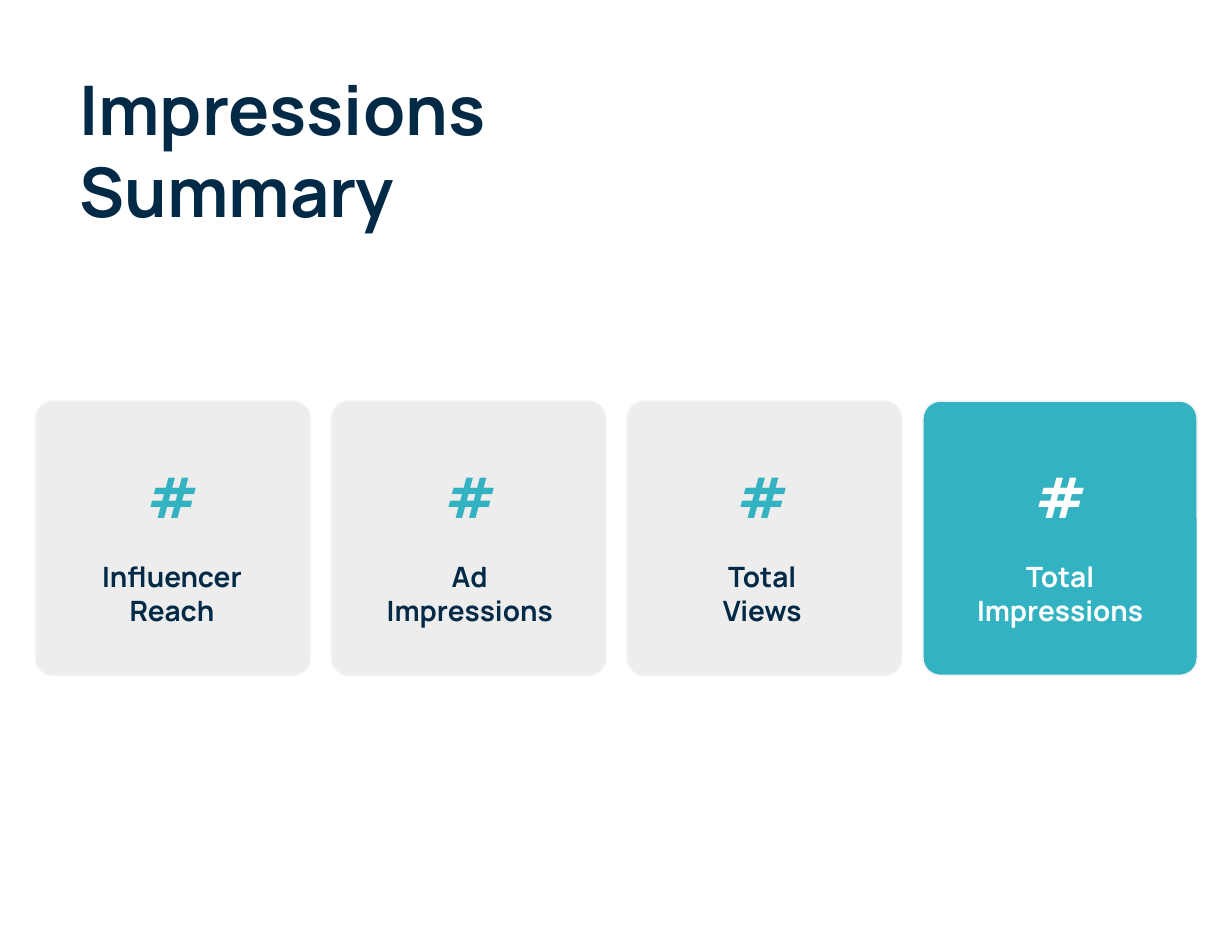
import pptx
import pptx.util
import pptx.dml.color
import pptx.enum.shapes
import pptx.enum.text

Pt = pptx.util.Pt
Align = pptx.enum.text.PP_ALIGN
NAVY, TEAL, GRAY, EDGE, WHITE = "022A47", "33B2C1", "EDEDED", "F2F2F2", "FFFFFF"


def color(code):
    return pptx.dml.color.RGBColor.from_string(code)


class Page:
    font = "Manrope"

    def __init__(self, slide):
        self.slide = slide

    def card(self, left, top, side, fill):
        kind = pptx.enum.shapes.MSO_SHAPE.ROUNDED_RECTANGLE
        card = self.slide.shapes.add_shape(kind, Pt(left), Pt(top), Pt(side), Pt(side))
        card.adjustments[0] = 0.064
        card.shadow.inherit = False
        card.fill.solid()
        card.fill.fore_color.rgb = color(fill)
        card.line.color.rgb = color(EDGE)
        card.line.width = Pt(1)

    def text(self, left, top, width, height, lines, size, ink, align=Align.CENTER):
        box = self.slide.shapes.add_textbox(Pt(left), Pt(top), Pt(width), Pt(height))
        frame = box.text_frame
        frame.word_wrap = True
        frame.auto_size = pptx.enum.text.MSO_AUTO_SIZE.SHAPE_TO_FIT_TEXT
        for index, line in enumerate(lines):
            para = frame.add_paragraph() if index else frame.paragraphs[0]
            para.alignment = align
            run = para.add_run()
            run.text = line
            run.font.name = self.font
            run.font.size = Pt(size)
            run.font.bold = True
            run.font.color.rgb = color(ink)


def main():
    deck = pptx.Presentation()
    deck.slide_width, deck.slide_height = Pt(792), Pt(612)
    page = Page(deck.slides.add_slide(deck.slide_layouts[6]))

    stats = [
        (110.5, 133.2, ["Influencer", "Reach"], GRAY, TEAL, NAVY),
        (302, 133.2, ["Ad", "Impressions"], GRAY, TEAL, NAVY),
        (490, 133.2, ["Total", "Views"], GRAY, TEAL, NAVY),
        (681.5, 143.3, ["Total", "Impressions"], TEAL, WHITE, WHITE),
    ]
    for index, stat in enumerate(stats):
        page.card(23 + 190.1 * index, 257.8, 176.4, stat[3])

    page.text(43.9, 39.6, 434.9, 113.8, ["Impressions", "Summary"], 44, NAVY, Align.LEFT)
    for center, width, label, fill, mark, ink in stats:
        page.text(center - 54, 293.8, 110.2, 51.1, ["#"], 36, mark)
        page.text(center - width / 2, 356.4, width, 51.1, label, 18, ink)

    deck.save("out.pptx")


if __name__ == "__main__":
    main()
